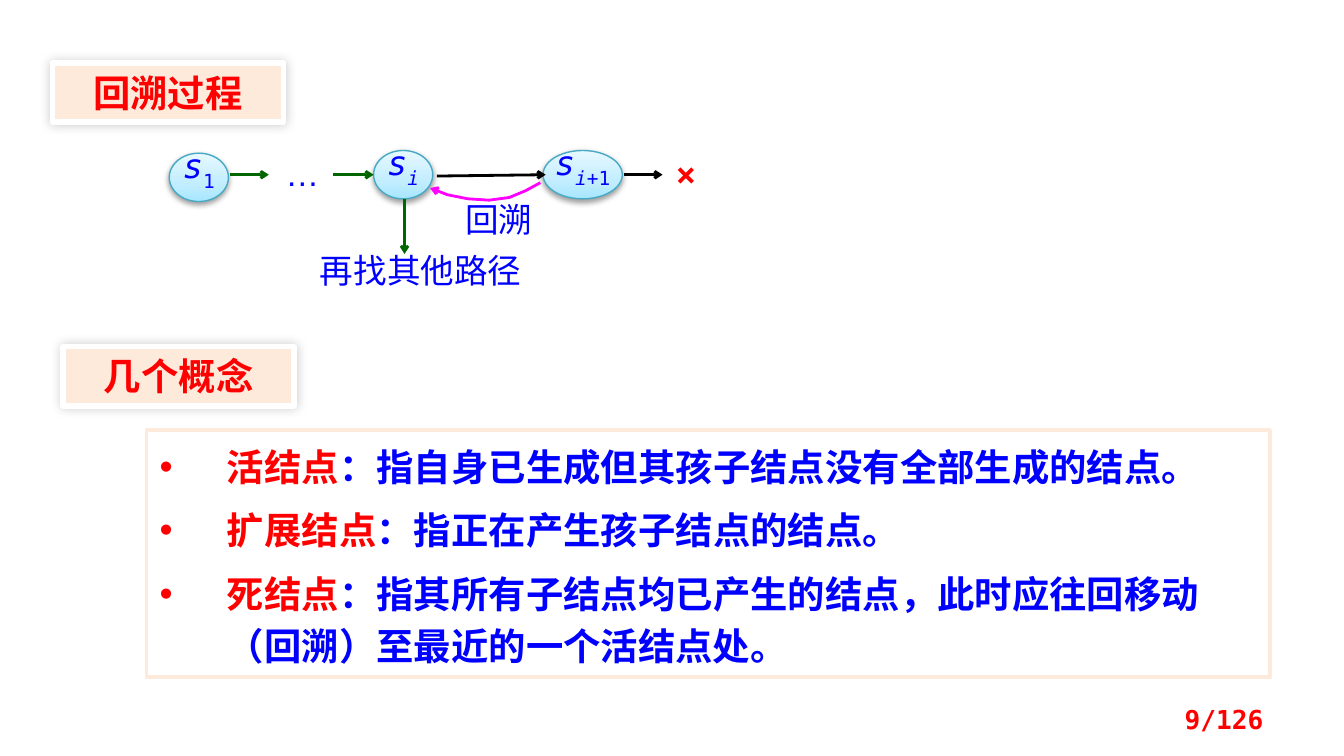
import pptx
import pptx.util
from pptx.dml.color import RGBColor
from pptx.enum.shapes import MSO_CONNECTOR, MSO_SHAPE
from pptx.enum.text import MSO_ANCHOR, PP_ALIGN
from pptx.oxml import parse_xml
from pptx.oxml.ns import nsdecls, qn
from pptx.util import Inches, Pt


class Theme:
    RED, BLUE, GREEN = "FF0000", "0000FF", "006600"
    BLACK, MAGENTA, WHITE = "000000", "FF00FF", "FFFFFF"
    PEACH, RIM = "FDEADA", "46AAC5"
    NODE_STOPS = ((0, "A7E6FF"), (35, "C1EDFF"), (100, "E7F8FF"))
    CJK, MONO, SANS, SERIF = ("Noto Sans CJK SC", "DejaVu Sans Mono",
                              "Arial", "Times New Roman")
    HEADING, LABEL, PAGE = 20, 18, 14


# Shared helpers
def add_run(p, text, color, size, font, bold=False, italic=False, sub=False):
    r = p.add_run()
    r.text = text
    f = r.font
    f.name, f.size, f.bold, f.italic = font, Pt(size), bold, italic
    f.color.rgb = RGBColor.from_string(color)
    rPr = r._r.get_or_add_rPr()
    rPr.append(parse_xml(f'<a:ea {nsdecls("a")} typeface="{Theme.CJK}"/>'))
    if sub:
        rPr.set("baseline", "-30000")


def add_box(s, kind, x, y, w, h, fill=None, line=None, width=1):
    sp = s.shapes.add_shape(kind, Inches(x), Inches(y), Inches(w), Inches(h))
    sp.shadow.inherit = False
    if fill:
        sp.fill.solid()
        sp.fill.fore_color.rgb = RGBColor.from_string(fill)
    if line:
        sp.line.color.rgb = RGBColor.from_string(line)
        sp.line.width = Pt(width)
    else:
        sp.line.fill.background()
    sp.text_frame.word_wrap = True
    sp.text_frame.vertical_anchor = MSO_ANCHOR.TOP
    return sp


def add_shadow(sp, alpha, blur, dist, angle):
    effects = sp._element.spPr.find(qn("a:effectLst"))
    effects.append(parse_xml(
        f'<a:outerShdw {nsdecls("a")} blurRad="{Pt(blur)}" dist="{Pt(dist)}" '
        f'dir="{angle * 60000}" algn="ctr" rotWithShape="0">'
        f'<a:srgbClr val="{Theme.BLACK}"><a:alpha val="{alpha * 1000}"/>'
        '</a:srgbClr></a:outerShdw>'))


def tight_paragraph(sp):
    tf = sp.text_frame
    tf.margin_left = tf.margin_right = tf.margin_top = tf.margin_bottom = 0
    p = tf.paragraphs[0]
    p.alignment = PP_ALIGN.CENTER
    p.line_spacing = Pt(17)
    return p


def style_arrow(sp, color):
    sp.line.color.rgb = RGBColor.from_string(color)
    sp.line.width = Pt(1.5)
    sp.line._get_or_add_ln().append(parse_xml(
        f'<a:tailEnd {nsdecls("a")} type="arrow" w="sm" len="sm"/>'))


def add_arrow(s, x1, y1, x2, y2, color):
    c = s.shapes.add_connector(MSO_CONNECTOR.STRAIGHT, Inches(x1), Inches(y1),
                               Inches(x2), Inches(y2))
    style_arrow(c, color)
    c._element.spPr.append(parse_xml(f'<a:effectLst {nsdecls("a")}/>'))


def add_path_arrow(s, x, y, points, color):
    pts = [(Inches(x + dx), Inches(y + dy)) for dx, dy in points]
    fb = s.shapes.build_freeform(*pts[0])
    fb.add_line_segments(pts[1:], close=False)
    sp = fb.convert_to_shape()
    sp.shadow.inherit = False
    sp.fill.background()
    style_arrow(sp, color)


def add_node(s, x, y, w, subscript):
    sp = add_box(s, MSO_SHAPE.OVAL, x, y, w, 0.36, line=Theme.RIM, width=0.75)
    stops = "".join(f'<a:gs pos="{pos * 1000}"><a:srgbClr val="{c}"/></a:gs>'
                    for pos, c in Theme.NODE_STOPS)
    sp._element.spPr.find(qn("a:prstGeom")).addnext(parse_xml(
        f'<a:gradFill {nsdecls("a")} rotWithShape="1"><a:gsLst>{stops}</a:gsLst>'
        '<a:lin ang="16200000" scaled="0"/></a:gradFill>'))
    add_shadow(sp, 38, 3.1, 1.6, 90)
    p = tight_paragraph(sp)
    add_run(p, "s", Theme.BLUE, Theme.LABEL, Theme.MONO, italic=True)
    for text, italic in subscript:
        add_run(p, text, Theme.BLUE, Theme.LABEL, Theme.MONO,
                italic=italic, sub=True)


def add_label(s, x, y, w, h, text, color=Theme.BLUE, font=Theme.MONO, bold=False):
    sp = add_box(s, MSO_SHAPE.RECTANGLE, x, y, w, h, fill=Theme.WHITE)
    add_run(tight_paragraph(sp), text, color, Theme.LABEL, font, bold)


# Slide regions
def heading(s, x, y, w, h, text):
    sp = add_box(s, MSO_SHAPE.RECTANGLE, x, y, w, h, Theme.PEACH, Theme.WHITE, 3)
    add_shadow(sp, 20, 6, 0, 315)
    p = sp.text_frame.paragraphs[0]
    p.alignment = PP_ALIGN.CENTER
    add_run(p, text, Theme.RED, Theme.HEADING, Theme.CJK, bold=True)


def backtrack_diagram(s, x, y):
    axis = y + 0.18
    # Labels and state nodes
    add_label(s, x + 3.63, y + 0.08, 0.43, 0.21, "×", Theme.RED, bold=True)
    add_node(s, x, y + 0.02, 0.44, [("1", False)])
    add_node(s, x + 1.52, y, 0.44, [("i", True)])
    add_label(s, x + 0.81, y + 0.08, 0.36, 0.16, "…", font=Theme.SANS)
    add_node(s, x + 2.78, y, 0.59, [("i", True), ("+1", False)])
    # Forward path
    for start, end, color in ((0.45, 0.74, Theme.GREEN),
                              (1.22, 1.52, Theme.GREEN),
                              (3.38, 3.67, Theme.BLACK)):
        add_arrow(s, x + start, axis, x + end, axis, color)
    add_path_arrow(s, x, y, [(1.99, 0.19), (2.8, 0.18)], Theme.BLACK)
    # Return path and the alternative route
    add_path_arrow(s, x, y, [(2.76, 0.24), (2.65, 0.3), (2.53, 0.35),
                             (2.38, 0.37), (2.22, 0.36), (2.07, 0.33),
                             (1.94, 0.28)], Theme.MAGENTA)
    add_label(s, x + 2.19, y + 0.42, 0.52, 0.25, "回溯")
    add_arrow(s, x + 1.75, y + 0.36, x + 1.75, y + 0.77, Theme.GREEN)
    add_label(s, x + 1.01, y + 0.8, 1.72, 0.25, "再找其他路径")


def concept_list(s, x, y, w, h, concepts):
    sp = add_box(s, MSO_SHAPE.RECTANGLE, x, y, w, h, Theme.WHITE, Theme.PEACH, 2)
    tf = sp.text_frame
    for i, (term, meaning) in enumerate(concepts):
        p = tf.add_paragraph() if i else tf.paragraphs[0]
        p.alignment = PP_ALIGN.LEFT
        p.line_spacing, p.space_before = Pt(28), Pt(6)
        pPr = p._p.get_or_add_pPr()
        pPr.set("marL", str(Inches(0.5)))
        pPr.set("indent", str(Inches(-0.5)))
        pPr.append(parse_xml(f'<a:buFont {nsdecls("a")} typeface="{Theme.SANS}"/>'))
        pPr.append(parse_xml(f'<a:buChar {nsdecls("a")} char="•"/>'))
        for text, color in ((term, Theme.RED), (meaning, Theme.BLUE)):
            add_run(p, text, color, Theme.HEADING, Theme.SERIF, bold=True)


def page_number(s, x, y, w, h, text):
    tb = s.shapes.add_textbox(Inches(x), Inches(y), Inches(w), Inches(h))
    tf = tb.text_frame
    tf.word_wrap = True
    tf.vertical_anchor = MSO_ANCHOR.MIDDLE
    p = tf.paragraphs[0]
    p.alignment = PP_ALIGN.RIGHT
    add_run(p, text, Theme.RED, Theme.PAGE, Theme.MONO, bold=True)


def main():
    prs = pptx.Presentation()
    prs.slide_width, prs.slide_height = Pt(720), Pt(405)
    s = prs.slides.add_slide(prs.slide_layouts[6])
    heading(s, 0.47, 2.58, 1.72, 0.44, "几个概念")
    concept_list(s, 1.09, 3.2, 8.36, 1.84, [
        ("活结点", "：指自身已生成但其孩子结点没有全部生成的结点。"),
        ("扩展结点", "：指正在产生孩子结点的结点。"),
        ("死结点", "：指其所有子结点均已产生的结点，此时应往回移动（回溯）至最近的一个活结点处。"),
    ])
    heading(s, 0.39, 0.47, 1.72, 0.44, "回溯过程")
    backtrack_diagram(s, 1.26, 1.12)
    page_number(s, 7.17, 5.2, 2.33, 0.3, "9/126")
    prs.save("out.pptx")


if __name__ == "__main__":
    main()
